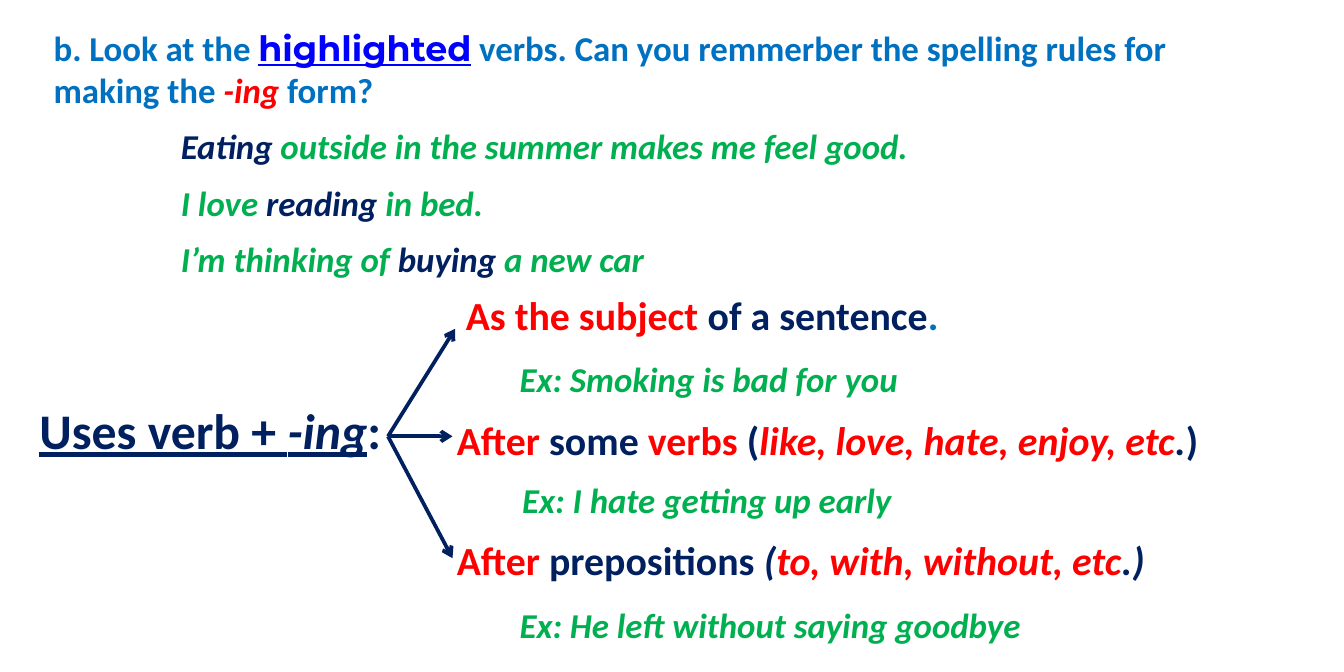
from pptx import Presentation
from pptx.util import Inches, Pt
from pptx.dml.color import RGBColor
from pptx.enum.shapes import MSO_CONNECTOR
from pptx.oxml.ns import qn
from lxml import etree

NAVY = RGBColor(0x00, 0x20, 0x60)
BLUE = RGBColor(0x00, 0x70, 0xC0)
LINK = RGBColor(0x00, 0x00, 0xFF)
RED = RGBColor(0xFF, 0x00, 0x00)
GREEN = RGBColor(0x00, 0xB0, 0x50)

deck = Presentation()
deck.slide_width, deck.slide_height = Inches(15), Inches(7.5)
slide = deck.slides.add_slide(deck.slide_layouts[6])


def add_box(left, top, width, height):
    frame = slide.shapes.add_textbox(
        Inches(left), Inches(top), Inches(width), Inches(height)).text_frame
    frame.word_wrap = True
    return frame


def add_run(para, text, size, color, italic=False, under=False, face="Calibri"):
    run = para.add_run()
    run.text = text
    font = run.font
    font.name, font.size, font.bold = face, Pt(size), True
    font.italic, font.underline = italic, under
    font.color.rgb = color


# Task heading
para = add_box(0.5, 0.25, 13.83, 1.04).paragraphs[0]
add_run(para, "b. Look at the ", 28, BLUE)
add_run(para, "highlighted", 28, LINK, under=True, face="Montserrat")
add_run(para, " verbs. Can you remmerber the spelling rules for making the ", 28, BLUE)
add_run(para, "-ing ", 28, RED, italic=True)
add_run(para, "form?", 28, BLUE)

# Sample sentences
samples = [
    [("Eating", NAVY), (" outside in the summer makes me feel good.", GREEN)],
    [("I love ", GREEN), ("reading ", NAVY), ("in bed.", GREEN)],
    [("I’m thinking of ", GREEN), ("buying", NAVY), (" a new car", GREEN)],
]
frame = add_box(1.92, 1.34, 8.48, 1.85)
for i, parts in enumerate(samples):
    para = frame.add_paragraph() if i else frame.paragraphs[0]
    para.space_before, para.space_after = Pt(6 if i else 0), Pt(6)
    for text, color in parts:
        add_run(para, text, 28, color, italic=True)

# Three uses, each with an example: indent, space before, space after, size, runs
uses = [
    (0.6, 0, 6, 32, [("As the subject", RED, False), (" of a sentence", NAVY, False),
                     (".", BLUE, False)]),
    (1.2, 10, 7, 28, [("Ex: Smoking is bad for you", GREEN, True)]),
    (0.5, 6, 6, 32, [("After ", RED, False), ("some ", NAVY, False),
                     ("verbs", RED, False), (" (", NAVY, False),
                     ("like, love, hate, enjoy, etc", RED, True),
                     (".", NAVY, True), (")", NAVY, False)]),
    (1.23, 6, 6, 28, [("Ex: I hate getting up early", GREEN, True)]),
    (0.5, 6, 6, 32, [("After ", RED, False), ("prepositions ", NAVY, False),
                     ("(", NAVY, True), ("to, with, without, etc", RED, True),
                     (".)", NAVY, True)]),
    (1.2, 10, 7, 28, [("Ex: He left without saying goodbye", GREEN, True)]),
]
frame = add_box(4.5, 3.19, 10.08, 4.11)
for i, (indent, before, after, size, parts) in enumerate(uses):
    para = frame.add_paragraph() if i else frame.paragraphs[0]
    para.space_before, para.space_after = Pt(before), Pt(after)
    props = para._p.get_or_add_pPr()
    props.set("marL", str(Inches(indent)))
    props.set("indent", "0")
    for text, color, italic in parts:
        add_run(para, text, size, color, italic)

# Label on the left
frame = add_box(0.25, 4.41, 4.25, 0.77)
frame.margin_left = Inches(0.19)
para = frame.paragraphs[0]
add_run(para, "Uses verb + ", 40, NAVY, under=True)
add_run(para, "-ing", 40, NAVY, italic=True, under=True)
add_run(para, ":", 40, NAVY)

# Arrows from the label to each use
for x, y in [(5.08, 3.67), (5.05, 6.23), (5.05, 4.87)]:
    arrow = slide.shapes.add_connector(
        MSO_CONNECTOR.STRAIGHT, Inches(4.33), Inches(4.87), Inches(x), Inches(y))
    arrow.line.color.rgb = NAVY
    arrow.line.width = Pt(3)
    etree.SubElement(arrow.line._get_or_add_ln(), qn("a:tailEnd"), type="arrow")
    etree.SubElement(arrow._element.spPr, qn("a:effectLst"))

deck.save("out.pptx")
